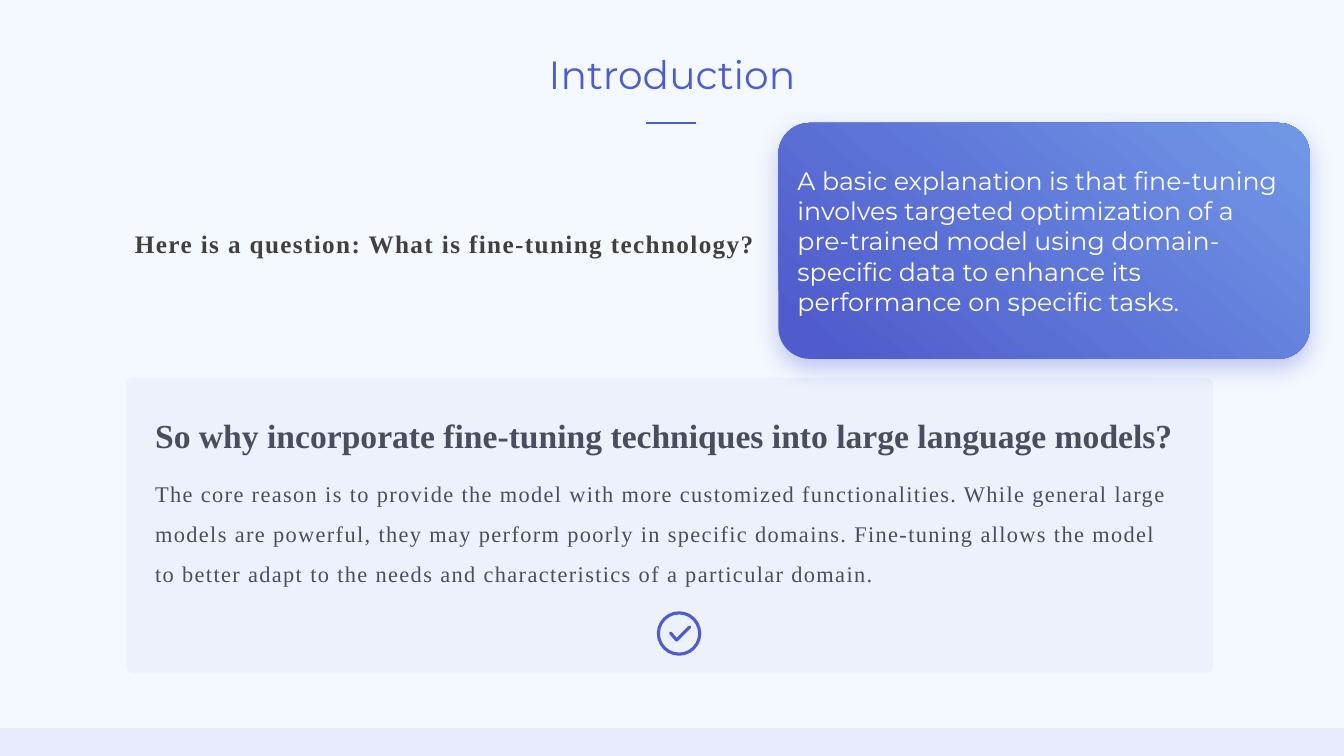
from lxml import etree
from pptx import Presentation
from pptx.dml.color import RGBColor
from pptx.enum.shapes import MSO_CONNECTOR, MSO_SHAPE
from pptx.enum.text import MSO_ANCHOR, MSO_AUTO_SIZE, PP_ALIGN
from pptx.oxml import parse_xml
from pptx.oxml.ns import nsdecls, qn
from pptx.util import Inches, Pt

RECT, ROUND, OVAL = MSO_SHAPE.RECTANGLE, MSO_SHAPE.ROUNDED_RECTANGLE, MSO_SHAPE.OVAL
STRAIGHT = MSO_CONNECTOR.STRAIGHT
MIDDLE, TOP = MSO_ANCHOR.MIDDLE, MSO_ANCHOR.TOP
LEFT, CENTER = PP_ALIGN.LEFT, PP_ALIGN.CENTER
FIXED = MSO_AUTO_SIZE.NONE

SKY = RGBColor(0xF4, 0xF9, 0xFF)
BAND = RGBColor(0xE8, 0xEB, 0xFC)
PANEL = RGBColor(0xEC, 0xF1, 0xFC)
INDIGO = RGBColor(0x50, 0x5C, 0xCC)
BLUE = RGBColor(0x71, 0x98, 0xE7)
SLATE = RGBColor(0x48, 0x4E, 0x60)
GRAY = RGBColor(0x40, 0x40, 0x40)
WHITE = RGBColor(0xFF, 0xFF, 0xFF)
SANS, SERIF = "Montserrat", "Times New Roman"


class Deck:
    def __init__(self):
        self.prs = Presentation()
        self.prs.slide_width = Inches(13.33)
        self.prs.slide_height = Inches(7.5)
        self.slide = self.prs.slides.add_slide(self.prs.slide_layouts[5])
        self.shapes = self.slide.shapes
        fill = self.slide.background.fill
        fill.solid()
        fill.fore_color.rgb = SKY

    def label(self, shape, text, size, font, color, bold=False, track=0,
              space=1.0, align=LEFT, anchor=TOP, wrap=True):
        """Put one styled run into a shape; track is letter spacing in points."""
        frame = shape.text_frame
        frame.auto_size = FIXED
        frame.word_wrap = wrap
        frame.vertical_anchor = anchor
        para = frame.paragraphs[0]
        para.alignment = align
        para.line_spacing = space
        run = para.add_run()
        run.text = text
        run.font.name = font
        run.font.size = Pt(size)
        run.font.bold = bold
        run.font.color.rgb = color
        if track:
            run.font._element.set("spc", str(track * 100))

    def title(self, text, x, y, w, h):
        box = self.shapes.title
        box.left, box.top, box.width, box.height = map(Inches, (x, y, w, h))
        self.label(box, text, 28, SANS, INDIGO, align=CENTER, anchor=MIDDLE, wrap=False)

    def text(self, text, x, y, w, h, size, color, **style):
        box = self.shapes.add_textbox(*map(Inches, (x, y, w, h)))
        self.label(box, text, size, SERIF, color, **style)

    def block(self, kind, x, y, w, h, color=None, curve=None):
        """Add a flat preset shape, filled only if a colour is given."""
        shape = self.shapes.add_shape(kind, *map(Inches, (x, y, w, h)))
        shape.shadow.inherit = False
        shape.line.fill.background()
        if color is None:
            shape.fill.background()
        else:
            shape.fill.solid()
            shape.fill.fore_color.rgb = color
        if curve is not None:
            shape.adjustments[0] = curve
        return shape

    def card(self, text, x, y, w, h):
        """Add the gradient card with its soft shadow."""
        shape = self.block(ROUND, x, y, w, h, curve=0.133)
        shape.fill.gradient()
        shape.fill.gradient_angle = 50
        for stop, color, pos in zip(shape.fill.gradient_stops, (INDIGO, BLUE), (0.07, 1)):
            stop.color.rgb = color
            stop.position = pos
        glow = parse_xml(
            f'<a:outerShdw {nsdecls("a")} blurRad="{Pt(18)}" dist="{Pt(6)}" '
            'dir="5400000" algn="t" rotWithShape="0">'
            '<a:srgbClr val="4E5BCE"><a:alpha val="35000"/></a:srgbClr></a:outerShdw>')
        shape._element.spPr.find(qn("a:effectLst")).append(glow)
        self.label(shape, text, 18, SANS, WHITE, anchor=MIDDLE)

    def rule(self, x, y, w):
        line = self.shapes.add_connector(STRAIGHT, *map(Inches, (x, y, x + w, y)))
        self.ink(line, 1.25)
        etree.SubElement(line._element.spPr, qn("a:effectLst"))

    def ink(self, shape, width):
        shape.line.color.rgb = INDIGO
        shape.line.width = Pt(width)

    def check(self, x, y, size):
        """Add a ring with a tick inside it."""
        ring = self.block(OVAL, x, y, size, size)
        dots = [(Inches(x + dx), Inches(y + dy))
                for dx, dy in ((0.12, 0.2), (0.18, 0.27), (0.31, 0.14))]
        pen = self.shapes.build_freeform(*dots[0])
        pen.add_line_segments(dots[1:], close=False)
        tick = pen.convert_to_shape()
        tick.shadow.inherit = False
        tick.fill.background()
        for shape in (ring, tick):
            self.ink(shape, 2.25)
            shape.line._get_or_add_ln().set("cap", "rnd")


def main():
    deck = Deck()
    deck.block(RECT, 0, 7.22, 13.33, 0.28, BAND)
    deck.title("Introduction", 5.34, 0.45, 2.65, 0.57)
    deck.rule(6.41, 1.22, 0.49)
    deck.block(ROUND, 1.25, 3.75, 10.78, 2.93, PANEL, 0.021)
    deck.text("So why incorporate fine-tuning techniques into large language models?",
              1.44, 4.07, 10.35, 0.5, 24, SLATE, bold=True)
    deck.text("The core reason is to provide the model with more customized "
              "functionalities. While general large models are powerful, they may "
              "perform poorly in specific domains. Fine-tuning allows the model to "
              "better adapt to the needs and characteristics of a particular domain.",
              1.44, 4.58, 10.35, 1.26, 16, SLATE, track=1, space=1.5)
    deck.card("A basic explanation is that fine-tuning involves targeted optimization "
              "of a pre-trained model using domain-specific data to enhance its "
              "performance on specific tasks.", 7.72, 1.22, 5.27, 2.34)
    deck.text("Here is a question: What is fine-tuning technology?",
              1.24, 2.07, 6.39, 0.5, 18, GRAY, bold=True, track=1, space=1.5)
    deck.check(6.53, 6.08, 0.41)
    deck.prs.save("out.pptx")


if __name__ == "__main__":
    main()
